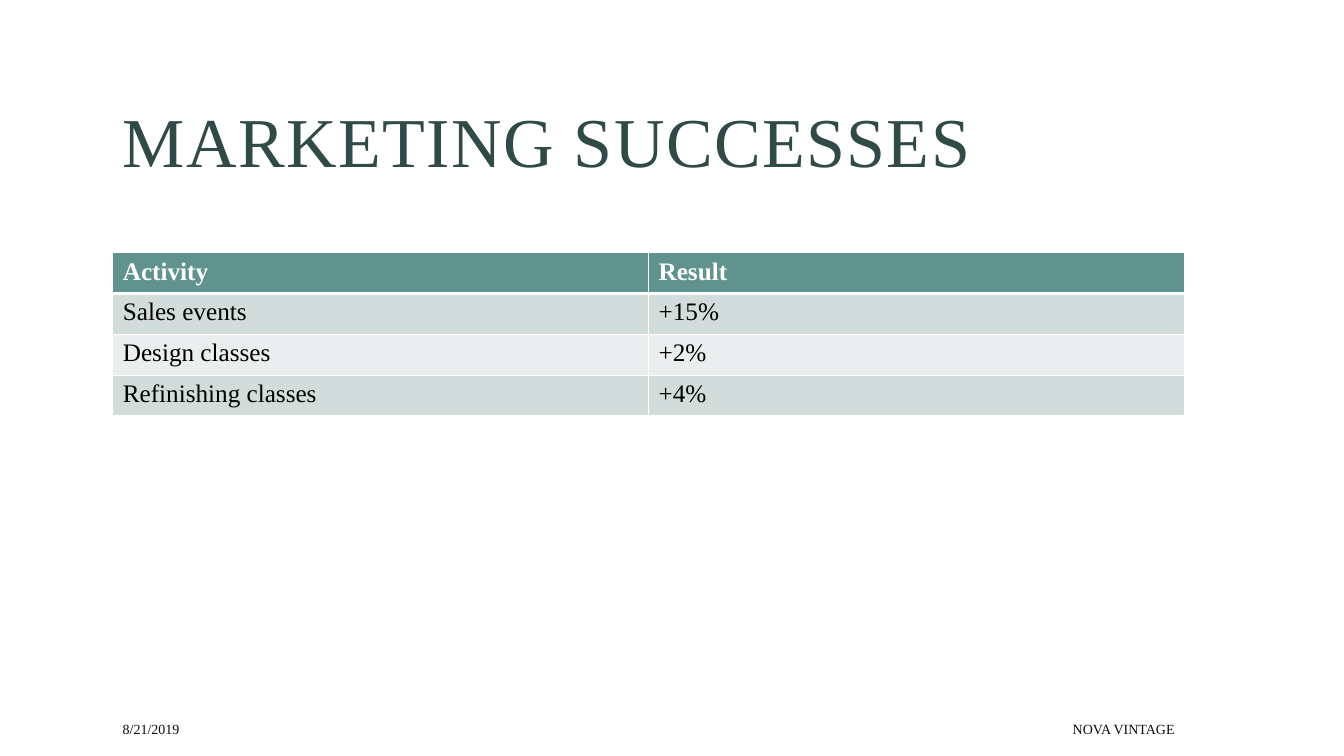
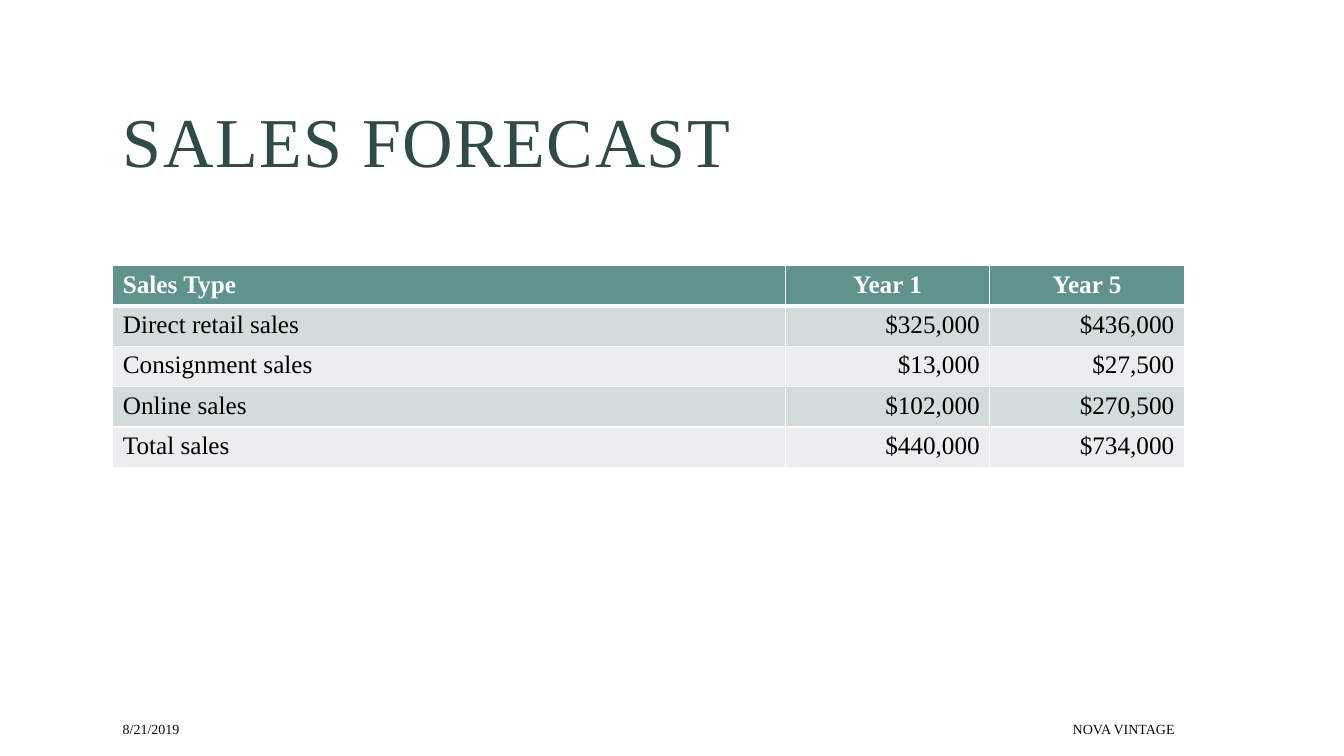
import pptx
import pptx.dml.color
import pptx.enum.text
import pptx.oxml
import pptx.oxml.ns
import pptx.util

Pt = pptx.util.Pt
ALIGN = pptx.enum.text.PP_ALIGN
MIDDLE = pptx.enum.text.MSO_ANCHOR.MIDDLE


def color(value):
    return pptx.dml.color.RGBColor.from_string(value)


class Deck:
    """Holds the shared style and the current slide."""

    FONT = "Times New Roman"
    TITLE, FOOTER = "304A47", "0D0D0D"
    HEADER, BANDS = "60938E", ("D2DCDB", "EAEEEE")
    WHITE, BLACK = "FFFFFF", "000000"
    LEFT, WIDTH = 80.6, 765.4

    def __init__(self):
        self.presentation = pptx.Presentation()
        self.presentation.slide_width = Pt(960)
        self.presentation.slide_height = Pt(540)
        self.slide = None

    def style(self, paragraph, size, value, align=ALIGN.LEFT, bold=False):
        paragraph.alignment = align
        font = paragraph.font
        font.name, font.size, font.bold = self.FONT, Pt(size), bold
        font.color.rgb = color(value)

    def add_slide(self, title):
        layout = self.presentation.slide_layouts.get_by_name("Title Only")
        self.slide = self.presentation.slides.add_slide(layout)
        self.title(title)
        self.footer("8/21/2019", self.LEFT, 170, ALIGN.LEFT)
        self.footer("NOVA VINTAGE", 381.6, 464.4, ALIGN.RIGHT)

    def title(self, text):
        shape = self.slide.shapes.title
        shape.left, shape.top = Pt(self.LEFT), Pt(46)
        shape.width, shape.height = Pt(self.WIDTH), Pt(118)
        frame = shape.text_frame
        frame.text = text
        frame.auto_size = pptx.enum.text.MSO_AUTO_SIZE.NONE
        frame.vertical_anchor = MIDDLE
        paragraph = frame.paragraphs[0]
        paragraph.line_spacing = 0.8
        self.style(paragraph, 50, self.TITLE)
        paragraph._p.get_or_add_pPr().get_or_add_defRPr().set("spc", "100")

    def footer(self, text, left, width, align):
        shape = self.slide.shapes.add_textbox(Pt(left), Pt(509.8), Pt(width), Pt(21.6))
        frame = shape.text_frame
        frame.word_wrap = True
        frame.vertical_anchor = MIDDLE
        frame.text = text
        self.style(frame.paragraphs[0], 10, self.FOOTER, align)

    def borders(self, cell, top, bottom):
        properties = cell._tc.get_or_add_tcPr()
        for side, width in (("L", 1), ("R", 1), ("T", top), ("B", bottom)):
            properties.append(pptx.oxml.parse_xml(
                f'<a:ln{side} {pptx.oxml.ns.nsdecls("a")} w="{Pt(width)}"><a:solidFill>'
                f'<a:srgbClr val="{self.WHITE}"/></a:solidFill></a:ln{side}>'))

    def table(self, top, row_height, widths, rows, header_align, body_align):
        table = self.slide.shapes.add_table(
            len(rows), len(widths), Pt(self.LEFT), Pt(top),
            Pt(self.WIDTH), Pt(row_height * len(rows))).table
        for column, width in zip(table.columns, widths):
            column.width = Pt(width)
        for row_index, values in enumerate(rows):
            table.rows[row_index].height = Pt(row_height)
            header = row_index == 0
            fill = self.HEADER if header else self.BANDS[(row_index - 1) % 2]
            for column_index, text in enumerate(values):
                cell = table.cell(row_index, column_index)
                cell.text = text
                self.borders(cell, 3 if row_index == 1 else 1, 3 if header else 1)
                cell.fill.solid()
                cell.fill.fore_color.rgb = color(fill)
                value_align = header_align if header else body_align
                self.style(cell.text_frame.paragraphs[0], 18,
                           self.WHITE if header else self.BLACK,
                           value_align if column_index else ALIGN.LEFT, header)


def main():
    deck = Deck()
    deck.add_slide("MARKETING SUCCESSES")
    deck.table(180.4, 29.2, [deck.WIDTH / 2] * 2, [
        ("Activity", "Result"),
        ("Sales events", "+15%"),
        ("Design classes", "+2%"),
        ("Refinishing classes", "+4%"),
    ], ALIGN.LEFT, ALIGN.LEFT)

    deck.add_slide("SALES FORECAST")
    deck.table(189.7, 27.1, [480.3, 146.2, 138.9], [
        ("Sales Type", "Year 1", "Year 5"),
        ("Direct retail sales", "$325,000", "$436,000"),
        ("Consignment sales", "$13,000", "$27,500"),
        ("Online sales", "$102,000", "$270,500"),
        ("Total sales", "$440,000", "$734,000"),
    ], ALIGN.CENTER, ALIGN.RIGHT)
    deck.presentation.save("out.pptx")


if __name__ == "__main__":
    main()
